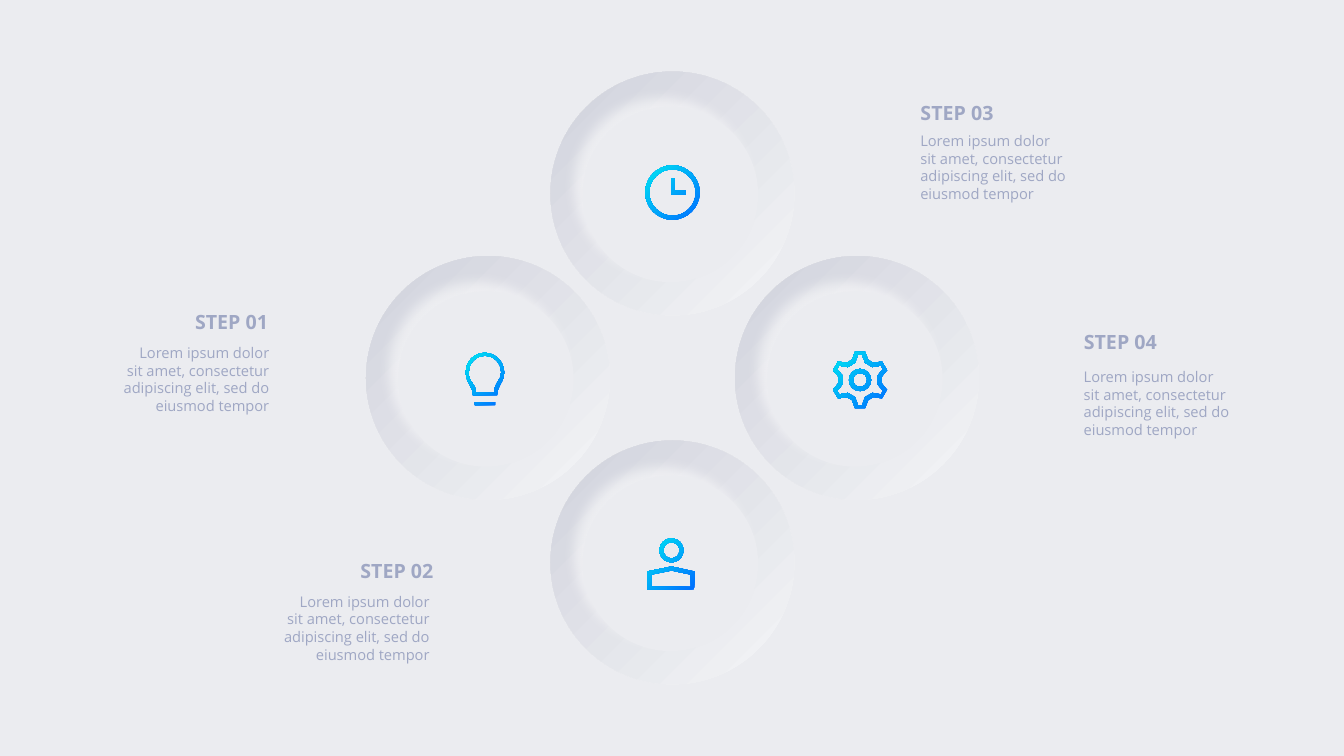
from dataclasses import dataclass
from math import cos, radians, sin

from lxml.etree import SubElement
from pptx import Presentation
from pptx.dml.color import RGBColor
from pptx.enum.shapes import MSO_SHAPE
from pptx.enum.text import MSO_ANCHOR, MSO_AUTO_SIZE, PP_ALIGN
from pptx.oxml.ns import qn
from pptx.util import Inches, Pt

# A contour holds segments: one point for a line, three for a Bézier curve.
Point = tuple[float, float]
Contour = list[tuple[Point, ...]]

BACKGROUND = "EBECF0"
TEXT_COLOR = "9FA7C4"
RIM_COLORS = ("F4F5F7", "D0D2DC")
ICON_COLORS = ("006EFF", "00E6F2")
BODY_TEXT = (
    "Lorem ipsum dolor sit amet, consectetur adipiscing elit, "
    "sed do eiusmod tempor"
)
RIM_SIZE, WELL_SIZE = 2.42, 1.74
CENTER_X, CENTER_Y, SPACING = 6.67, 3.75, 1.83
CURVE_RATIO = 0.55
HEADING_FORMAT = {"name": "Open Sans", "size": Pt(14), "bold": True}
BODY_FORMAT = {"name": "Open Sans", "size": Pt(10.5), "bold": False}
HEADING_FRAME = {
    "margin_left": 0, "margin_right": 0, "margin_top": 0, "margin_bottom": 0,
    "word_wrap": False, "auto_size": MSO_AUTO_SIZE.SHAPE_TO_FIT_TEXT,
}
BODY_FRAME = {"word_wrap": True, "vertical_anchor": MSO_ANCHOR.MIDDLE}


@dataclass
class Step:
    title: str
    column: int
    row: int
    heading_at: Point
    body_at: Point
    alignment: PP_ALIGN
    icon: list[Contour]


def polygon(*points: Point) -> Contour:
    return [(point,) for point in points]


def ring(x: float, y: float, radius: float) -> Contour:
    """A circle made of four curves, clockwise from its right end."""
    handle = radius * CURVE_RATIO
    contour: Contour = [((x + radius, y),)]
    for dx, dy in ((1, 0), (0, 1), (-1, 0), (0, -1)):
        start = (x + radius * dx, y + radius * dy)
        end = (x - radius * dy, y + radius * dx)
        contour.append((
            (start[0] - handle * dy, start[1] + handle * dx),
            (end[0] + handle * dx, end[1] + handle * dy),
            end,
        ))
    return contour


def gear_ring(x: float, y: float, tooth: list[Point]) -> Contour:
    """Six copies of the top tooth, turned around the centre."""
    return polygon(*(
        (x + dx * cos(angle) - dy * sin(angle), y + dx * sin(angle) + dy * cos(angle))
        for angle in (radians(60 * index) for index in range(6))
        for dx, dy in tooth
    ))


def clock_icon() -> list[Contour]:
    hands = polygon((6.8, 1.93), (6.66, 1.93), (6.66, 1.77),
                    (6.69, 1.77), (6.69, 1.89), (6.8, 1.89))
    return [ring(6.67, 1.91, 0.27), ring(6.67, 1.91, 0.23), hands]


def bulb_icon() -> list[Contour]:
    outer = [
        ((4.93, 3.92),), ((4.69, 3.92),),
        ((4.69, 3.88), (4.68, 3.86), (4.65, 3.8)),
        ((4.63, 3.77), (4.62, 3.73), (4.62, 3.69)),
        ((4.62, 3.59), (4.7, 3.5), (4.81, 3.5)),
        ((4.91, 3.5), (5, 3.59), (5, 3.69)),
        ((5, 3.73), (4.99, 3.77), (4.97, 3.8)),
        ((4.94, 3.86), (4.93, 3.88), (4.93, 3.92)),
    ]
    inner = [
        ((4.72, 3.89),), ((4.9, 3.89),),
        ((4.9, 3.86), (4.91, 3.83), (4.94, 3.78)),
        ((4.96, 3.76), (4.97, 3.73), (4.97, 3.69)),
        ((4.97, 3.6), (4.9, 3.53), (4.81, 3.53)),
        ((4.72, 3.53), (4.65, 3.6), (4.65, 3.69)),
        ((4.65, 3.73), (4.65, 3.76), (4.67, 3.78)),
        ((4.71, 3.83), (4.72, 3.86), (4.72, 3.89)),
    ]
    base = polygon((4.71, 3.99), (4.91, 3.99), (4.91, 4.02), (4.71, 4.02))
    return [base, outer, inner]


def gear_icon() -> list[Contour]:
    x, y = 8.53, 3.77
    return [
        gear_ring(x, y, [(-0.08, -0.2), (-0.05, -0.28), (0.05, -0.28), (0.08, -0.2)]),
        gear_ring(x, y, [(-0.05, -0.17), (-0.02, -0.25), (0.02, -0.25), (0.05, -0.17)]),
        ring(x, y, 0.11),
        ring(x, y, 0.07),
    ]


def person_icon() -> list[Contour]:
    return [
        polygon((6.89, 5.67), (6.66, 5.62), (6.42, 5.67), (6.42, 5.85), (6.89, 5.85)),
        polygon((6.85, 5.7), (6.66, 5.66), (6.46, 5.7), (6.46, 5.82), (6.85, 5.82)),
        ring(6.66, 5.46, 0.12),
        ring(6.66, 5.46, 0.08),
    ]


def color(value: str) -> RGBColor:
    return RGBColor.from_string(value)


def apply_format(target, values: dict) -> None:
    for name, value in values.items():
        setattr(target, name, value)


def paint(shape, *colors: str) -> None:
    """Fill with one colour, or with a gradient running to the top left."""
    if len(colors) == 1:
        shape.fill.solid()
        shape.fill.fore_color.rgb = color(colors[0])
    else:
        shape.fill.gradient()
        shape.fill.gradient_angle = 135
        for stop, value, position in zip(shape.fill.gradient_stops, colors, (0, 1)):
            stop.color.rgb = color(value)
            stop.position = position
    shape.line.fill.background()
    shape.shadow.inherit = False


def add_glow(shape) -> None:
    """Cast a soft white shadow to the top left."""
    effects = shape._element.spPr.find(qn("a:effectLst"))
    shadow = SubElement(
        effects, qn("a:outerShdw"), blurRad=str(Pt(9)), dist=str(Pt(9)),
        dir="13500000", algn="ctr", rotWithShape="0",
    )
    white = SubElement(shadow, qn("a:srgbClr"), val="FFFFFF")
    SubElement(white, qn("a:alpha"), val="56000")


def add_circle(shapes, left: float, top: float, size: float, *colors: str):
    circle = shapes.add_shape(MSO_SHAPE.OVAL, *map(Inches, (left, top, size, size)))
    paint(circle, *colors)
    return circle


def add_dish(slide, step: Step) -> None:
    left = CENTER_X + step.column * SPACING - RIM_SIZE / 2
    top = CENTER_Y + step.row * SPACING - RIM_SIZE / 2
    shapes = slide.shapes.add_group_shape().shapes
    add_circle(shapes, left, top, RIM_SIZE, *RIM_COLORS)
    add_glow(add_circle(shapes, left + 0.32, top + 0.35, WELL_SIZE, BACKGROUND))


def add_icon(slide, step: Step) -> None:
    outlines = [[(Inches(x), Inches(y)) for segment in contour for x, y in segment]
                for contour in step.icon]
    builder = slide.shapes.build_freeform(*outlines[0][0], scale=1.0)
    for index, outline in enumerate(outlines):
        if index:
            builder.move_to(*outline[0])
        builder.add_line_segments(outline[1:], close=True)
    icon = builder.convert_to_shape()
    lines = iter(list(icon._element.iter(qn("a:lnTo"))))
    for segment in (segment for contour in step.icon for segment in contour[1:]):
        first, *others = [next(lines) for _ in segment]
        if others:
            first.tag = qn("a:cubicBezTo")
            for line in others:
                first.append(line[0])
                line.getparent().remove(line)
    paint(icon, *ICON_COLORS)


def add_text(slide, text: str, position: Point, size: Point, alignment: PP_ALIGN,
             frame_format: dict, font_format: dict) -> None:
    box = slide.shapes.add_textbox(*map(Inches, position + size))
    apply_format(box.text_frame, frame_format)
    paragraph = box.text_frame.paragraphs[0]
    paragraph.alignment = alignment
    run = paragraph.add_run()
    run.text = text
    apply_format(run.font, font_format)
    run.font.color.rgb = color(TEXT_COLOR)


def add_heading(slide, step: Step) -> None:
    add_text(slide, step.title, step.heading_at, (0.73, 0.24),
             step.alignment, HEADING_FRAME, HEADING_FORMAT)


def add_body(slide, step: Step) -> None:
    add_text(slide, BODY_TEXT, step.body_at, (1.67, 0.84),
             step.alignment, BODY_FRAME, BODY_FORMAT)


def main() -> None:
    presentation = Presentation()
    apply_format(presentation, {"slide_width": Inches(13.33), "slide_height": Inches(7.5)})
    slide = presentation.slides.add_slide(presentation.slide_layouts[6])
    slide.background.fill.solid()
    slide.background.fill.fore_color.rgb = color(BACKGROUND)
    right, left = PP_ALIGN.RIGHT, PP_ALIGN.LEFT
    steps = [
        Step("STEP 01", -1, 0, (1.93, 3.07), (1.1, 3.34), right, bulb_icon()),
        Step("STEP 02", 0, 1, (3.57, 5.54), (2.69, 5.81), right, person_icon()),
        Step("STEP 03", 0, -1, (9.13, 1), (9.03, 1.24), left, clock_icon()),
        Step("STEP 04", 1, 0, (10.75, 3.27), (10.65, 3.58), left, gear_icon()),
    ]
    for add_part in (add_heading, add_dish, add_icon, add_body):
        for step in steps:
            add_part(slide, step)
    presentation.save("out.pptx")


if __name__ == "__main__":
    main()
